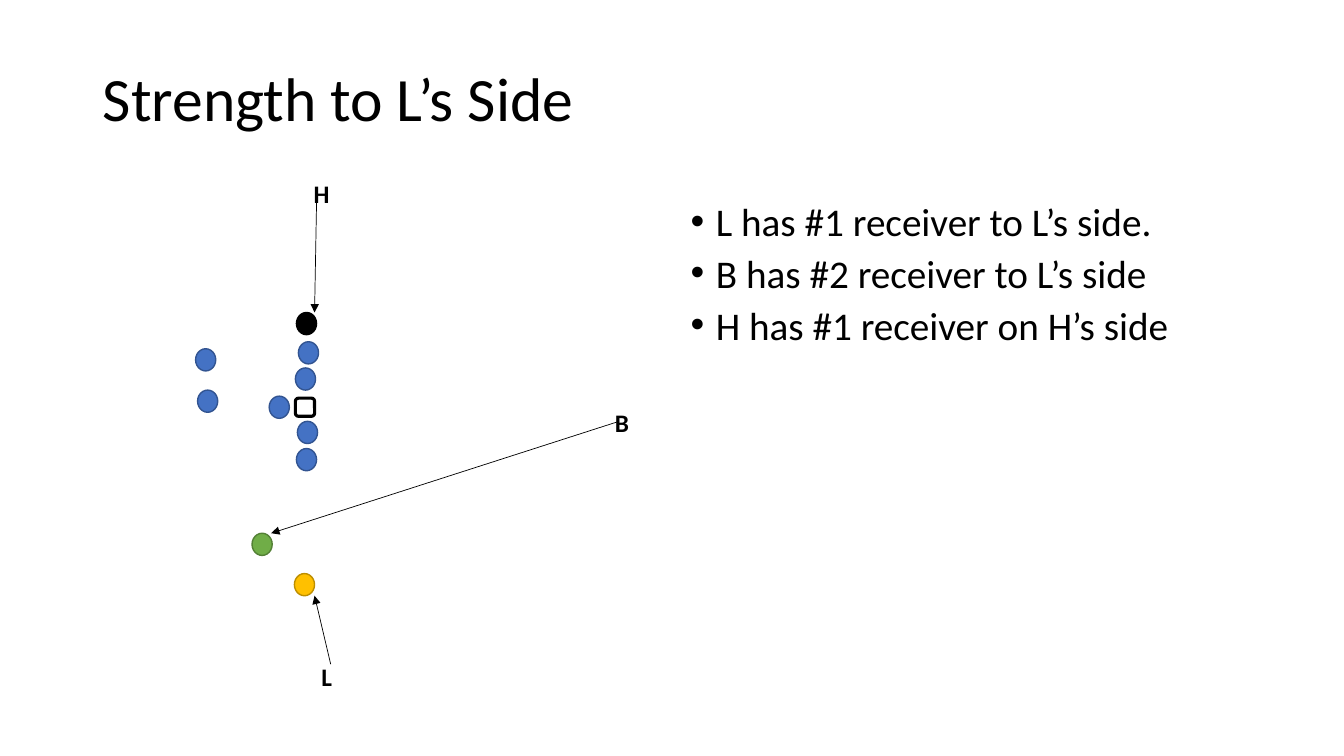
import pptx
import pptx.dml.color
import pptx.enum.shapes
import pptx.enum.text
import pptx.oxml
import pptx.oxml.ns
import pptx.util
from dataclasses import dataclass

PX = 9144  # EMU per px, 100 px to the inch
SHAPE = pptx.enum.shapes.MSO_SHAPE
ANCHOR = pptx.enum.text.MSO_ANCHOR
ALIGN = pptx.enum.text.PP_ALIGN


@dataclass(frozen=True)
class Theme:
    font: str = "Calibri"
    black: str = "000000"
    white: str = "FFFFFF"
    blue: tuple = ("4472C4", "325491")
    green: tuple = ("70AD47", "538035")
    gold: tuple = ("FFC000", "BD8E00")
    dark: tuple = ("000000", "000000")
    title: int = 44
    body: int = 28
    label: int = 18


THEME = Theme()
DOT_W, DOT_H = 20, 22
LABEL = 40

# left, top, (fill, line)
PLAYERS = [
    (194, 346, THEME.blue), (196, 387, THEME.blue), (250, 529, THEME.green),
    (294, 445, THEME.blue), (293, 365, THEME.blue), (295, 418, THEME.blue),
    (292, 569, THEME.gold), (267, 393, THEME.blue), (294, 310, THEME.dark),
    (296, 339, THEME.blue),
]
# letter, its centre, arrow start, arrow end
COACHES = [
    ("H", (319, 192), (314, 200), (312, 310)),
    ("B", (617, 419), (614, 418), (269, 529)),
    ("L", (324, 671), (328, 659), (312, 591)),
]
DUTIES = [
    "L has #1 receiver to L’s side.",
    "B has #2 receiver to L’s side",
    "H has #1 receiver on H’s side",
]


def emu(*lengths):
    return [pptx.util.Emu(n * PX) for n in lengths]


def rgb(code):
    return pptx.dml.color.RGBColor.from_string(code)


def style(para, size, bold=False):
    font = para.font
    font.name, font.size, font.bold = THEME.font, pptx.util.Pt(size), bold
    font.color.rgb = rgb(THEME.black)


def place(holder, left, top, width, height, anchor):
    holder.left, holder.top, holder.width, holder.height = emu(left, top, width, height)
    frame = holder.text_frame
    frame.auto_size = pptx.enum.text.MSO_AUTO_SIZE.NONE
    frame.vertical_anchor = anchor
    return frame


def add_title(slide, text):
    frame = place(slide.shapes.title, 92, 40, 1150, 122, ANCHOR.MIDDLE)
    frame.text = text
    para = frame.paragraphs[0]
    para.alignment, para.line_spacing = ALIGN.LEFT, 0.9
    style(para, THEME.title)


def add_list(slide, items):
    frame = place(slide.placeholders[1], 675, 200, 567, 476, ANCHOR.TOP)
    frame.text = "\n".join(items)
    for para in frame.paragraphs:
        para.line_spacing, para.space_before = 0.8, pptx.util.Pt(10)
        style(para, THEME.body)
        props = para._p.get_or_add_pPr()
        props.set("marL", str(25 * PX))
        props.set("indent", str(-25 * PX))


def add_mark(slide, kind, box, fill, line, weight):
    mark = slide.shapes.add_shape(kind, *emu(*box))
    mark.shadow.inherit = False
    mark.fill.solid()
    mark.fill.fore_color.rgb = rgb(fill)
    mark.line.color.rgb = rgb(line)
    mark.line.width = pptx.util.Pt(weight)


def add_label(slide, text, x, y):
    """Centre a bold letter on the point x, y."""
    half = LABEL // 2
    frame = slide.shapes.add_textbox(*emu(x - half, y - half, LABEL, LABEL)).text_frame
    frame.margin_left = frame.margin_right = 0
    frame.margin_top = frame.margin_bottom = 0
    frame.word_wrap, frame.vertical_anchor = True, ANCHOR.MIDDLE
    frame.text = text
    para = frame.paragraphs[0]
    para.alignment = ALIGN.CENTER
    style(para, THEME.label, bold=True)


def add_arrow(slide, start, end):
    kind = pptx.enum.shapes.MSO_CONNECTOR.STRAIGHT
    arrow = slide.shapes.add_connector(kind, *emu(*start, *end))
    arrow.line.color.rgb = rgb(THEME.black)
    arrow.line.width = pptx.util.Pt(0.5)
    make, name = pptx.oxml.xmlchemy.OxmlElement, pptx.oxml.ns.qn
    head = make("a:tailEnd")
    head.set("type", "triangle")
    props = arrow._element.spPr
    props.find(name("a:ln")).append(head)
    props.append(make("a:effectLst"))


def main():
    deck = pptx.Presentation()
    deck.slide_width, deck.slide_height = emu(1333, 750)
    slide = deck.slides.add_slide(deck.slide_layouts[1])
    add_title(slide, "Strength to L’s Side")
    add_list(slide, DUTIES)
    add_mark(slide, SHAPE.ROUNDED_RECTANGLE, (293, 395, 19, 18),
             THEME.white, THEME.black, 2.25)
    for left, top, (fill, line) in PLAYERS:
        add_mark(slide, SHAPE.OVAL, (left, top, DOT_W, DOT_H), fill, line, 1)
    for letter, centre, start, end in COACHES:
        add_label(slide, letter, *centre)
        add_arrow(slide, start, end)
    deck.save("out.pptx")


if __name__ == "__main__":
    main()
